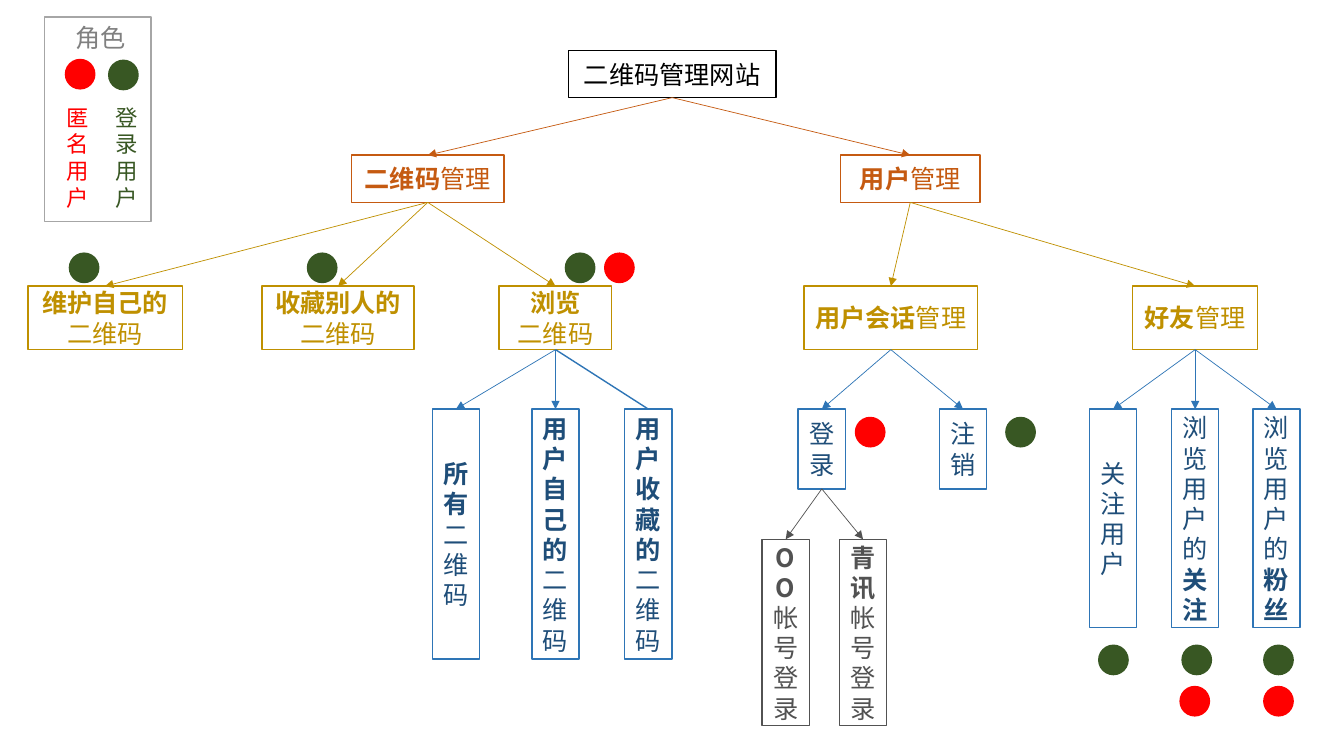
import pptx
import pptx.dml.color
import pptx.enum.shapes
import pptx.enum.text
import pptx.oxml
import pptx.oxml.ns
import pptx.util

Cm = pptx.util.Cm
Pt = pptx.util.Pt
SHAPES = pptx.enum.shapes.MSO_SHAPE
ALIGN = pptx.enum.text.PP_ALIGN
ANCHOR = pptx.enum.text.MSO_ANCHOR
FIT = pptx.enum.text.MSO_AUTO_SIZE

# Content: *...* is bold, a line break starts a paragraph
# key, parent, level, centre x, width, height, text (lengths in cm)
NODES = [
    ("site", None, 0, 16.94, 5.23, 1.19, "二维码管理网站"),
    ("codes", "site", 1, 10.78, 3.84, 1.19, "*二维码*管理"),
    ("users", "site", 1, 22.94, 3.51, 1.19, "*用户*管理"),
    ("own", "codes", 2, 2.65, 3.89, 1.6, "*维护自己的*\n二维码"),
    ("collect", "codes", 2, 8.52, 3.84, 1.6, "*收藏别人的*\n二维码"),
    ("browse", "codes", 2, 14, 2.84, 1.6, "*浏览*\n二维码"),
    ("session", "users", 2, 22.45, 4.37, 1.6, "*用户会话*管理"),
    ("friends", "users", 2, 30.12, 3.15, 1.6, "*好友*管理"),
    ("all codes", "browse", 3, 11.49, 1.19, 6.3, "*所有*二维码"),
    ("own codes", "browse", 3, 14, 1.19, 6.3, "*用户自己的*二维码"),
    ("saved codes", "browse", 3, 16.34, 1.19, 6.3, "*用户收藏的*二维码"),
    ("login", "session", 3, 20.71, 1.19, 2.01, "登录"),
    ("logout", "session", 3, 24.27, 1.19, 2.01, "注销"),
    ("follow", "friends", 3, 28.05, 1.19, 5.51, "关注用户"),
    ("following", "friends", 3, 30.12, 1.19, 5.51, "浏览用户的*关注*"),
    ("followers", "friends", 3, 32.17, 1.19, 5.51, "浏览用户的*粉丝*"),
    ("chat login", "login", 4, 19.8, 1.19, 4.7, "*OO*帐号\n登录"),
    ("message login", "login", 4, 21.75, 1.19, 4.7, "*青讯*帐号登录"),
]
PLAIN_LINKS = {"saved codes"}

# Left and top of each role dot
ROLE_DOTS = {
    "member": [(2.74, 1.52), (1.75, 6.38), (7.75, 6.38), (14.25, 6.38),
               (25.35, 10.52), (27.69, 16.26), (29.79, 16.26), (31.85, 16.26)],
    "guest": [(1.65, 1.5), (15.24, 6.38), (21.56, 10.52),
              (29.74, 17.3), (31.85, 17.3)],
}
LEGEND_FRAME = (1.12, 0.43, 2.69, 5.16)
# text, colour, size, wrap, position
LEGEND_TEXTS = [
    ("角色", "heading", "body", False, (1.65, 0.43, 1.8, 1.02)),
    ("登录用户", "member", "legend", True, (2.67, 2.49, 1.04, 3)),
    ("匿名用户", "guest", "legend", True, (1.42, 2.49, 0.89, 3)),
]
LEVEL_TOPS = [1.27, 3.91, 7.21, 10.31, 13.59]
DOT_SIZE = 0.74

THEME = {
    "font": "Noto Sans CJK SC",
    "sizes": {"body": 18, "legend": 16},
    "lines": {"box": 1, "link": 0.5},
    "levels": [("000000", "000000"), ("C55A11", "C55A11"), ("BF9000", "BF9000"),
               ("2E75B6", "1F4E79"), ("525252", "525252")],  # outline, text
    "colours": {"paper": "FFFFFF", "frame": "A6A6A6", "heading": "808080",
                "member": "385723", "guest": "FF0000"},
}
COLOURS = THEME["colours"]


def rgb(value):
    return pptx.dml.color.RGBColor.from_string(value)


def apply_format(target, values):
    for name, value in values.items():
        setattr(target, name, value)


def place(shape, box):
    apply_format(shape, dict(zip(("left", "top", "width", "height"), map(Cm, box))))


def paint(shape, fill, outline):
    shape.fill.solid()
    shape.fill.fore_color.rgb = rgb(fill)
    shape.line.color.rgb = rgb(outline)
    shape.line.width = Pt(THEME["lines"]["box"])


def add_preset(slide, preset, box, fill, outline):
    shape = slide.shapes.add_shape(preset, *map(Cm, box))
    shape.shadow.inherit = False
    paint(shape, fill, outline)
    return shape


def write(shape, text, colour, size, alignment):
    frame = shape.text_frame
    for index, line in enumerate(text.split("\n")):
        paragraph = frame.add_paragraph() if index else frame.paragraphs[0]
        paragraph.alignment = alignment
        for part, words in enumerate(line.split("*")):
            if not words:
                continue
            run = paragraph.add_run()
            run.text = words
            run.font.color.rgb = rgb(colour)
            apply_format(run.font, {"name": THEME["font"], "bold": part % 2 == 1,
                                    "size": Pt(THEME["sizes"][size])})
            east_asian = pptx.oxml.parse_xml(
                f'<a:ea {pptx.oxml.ns.nsdecls("a")} typeface="{THEME["font"]}"/>')
            run._r.get_or_add_rPr().append(east_asian)


def link(slide, parent, child, colour, arrow):
    connector = slide.shapes.add_connector(
        pptx.enum.shapes.MSO_CONNECTOR.STRAIGHT, 0, 0, 0, 0)
    connector.begin_connect(parent, 2)
    connector.end_connect(child, 0)
    connector.line.color.rgb = rgb(colour)
    connector.line.width = Pt(THEME["lines"]["link" if arrow else "box"])
    namespace = pptx.oxml.ns.nsdecls("a")
    if arrow:
        connector.line._get_or_add_ln().append(
            pptx.oxml.parse_xml(f'<a:tailEnd {namespace} type="triangle"/>'))
    connector._element.spPr.append(
        pptx.oxml.parse_xml(f"<a:effectLst {namespace}/>"))


def build_tree(slide):
    boxes = {}
    for key, parent, level, centre, width, height, text in NODES:
        outline, text_colour = THEME["levels"][level]
        position = (centre - width / 2, LEVEL_TOPS[level], width, height)
        if parent is None:
            box = slide.shapes.title
            place(box, position)
            paint(box, COLOURS["paper"], outline)
        else:
            box = add_preset(slide, SHAPES.RECTANGLE, position,
                             COLOURS["paper"], outline)
        apply_format(box.text_frame, {"word_wrap": True, "auto_size": FIT.NONE,
                                      "vertical_anchor": ANCHOR.MIDDLE})
        write(box, text, text_colour, "body", ALIGN.CENTER)
        boxes[key] = box
    for key, parent, level, *_ in NODES:
        if parent:
            link(slide, boxes[parent], boxes[key], THEME["levels"][level][0],
                 key not in PLAIN_LINKS)


def build_roles(slide):
    add_preset(slide, SHAPES.RECTANGLE, LEGEND_FRAME,
               COLOURS["paper"], COLOURS["frame"])
    for role, corners in ROLE_DOTS.items():
        for left, top in corners:
            add_preset(slide, SHAPES.OVAL, (left, top, DOT_SIZE, DOT_SIZE),
                       COLOURS[role], COLOURS[role])
    for text, colour, size, wrap, position in LEGEND_TEXTS:
        label = slide.shapes.add_textbox(*map(Cm, position))
        apply_format(label.text_frame, {"word_wrap": wrap,
                                        "auto_size": FIT.SHAPE_TO_FIT_TEXT})
        write(label, text, COLOURS[colour], size, ALIGN.LEFT)


def main():
    presentation = pptx.Presentation()
    apply_format(presentation, {"slide_width": Cm(33.87), "slide_height": Cm(19.05)})
    # Title Only layout: the title is the root of the tree
    slide = presentation.slides.add_slide(presentation.slide_layouts[5])
    build_tree(slide)
    build_roles(slide)
    presentation.save("out.pptx")


if __name__ == "__main__":
    main()
